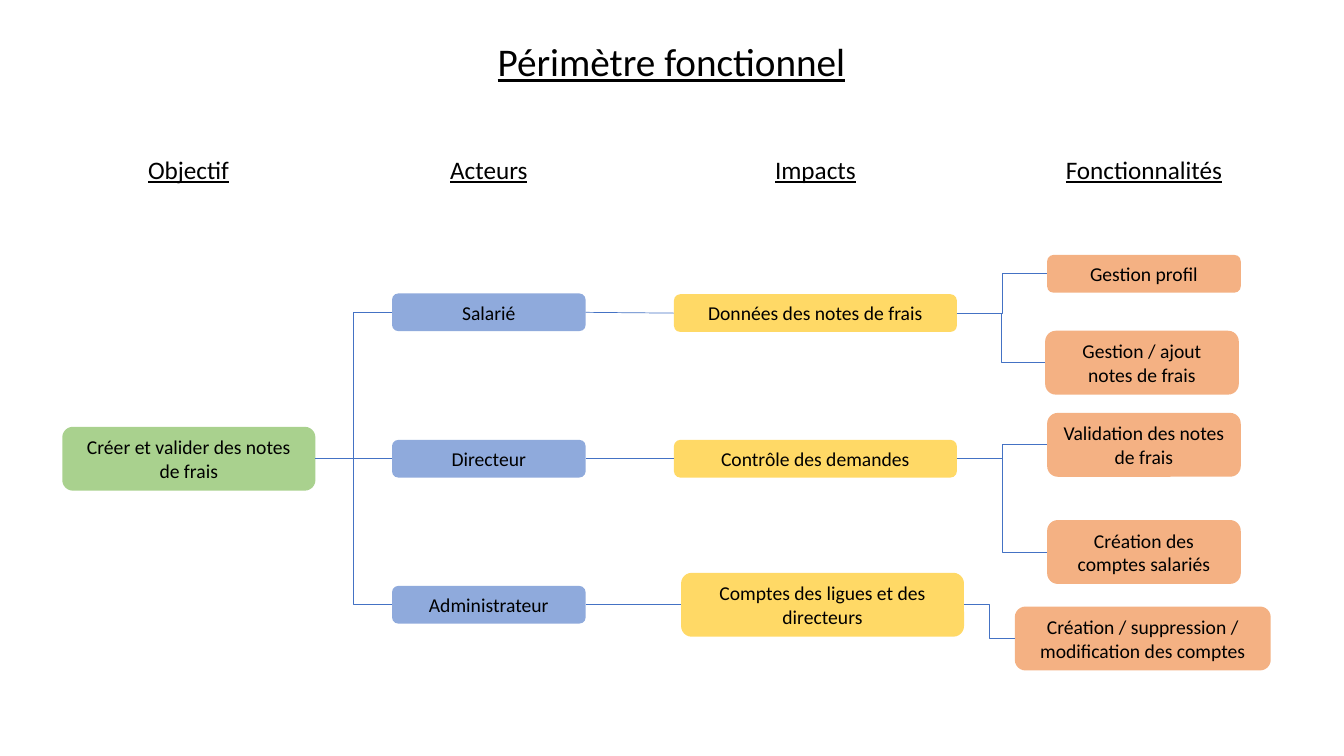
from lxml.etree import SubElement
from pptx import Presentation
from pptx.dml.color import RGBColor
from pptx.enum.shapes import MSO_CONNECTOR, MSO_SHAPE
from pptx.enum.text import MSO_ANCHOR, MSO_AUTO_SIZE, PP_ALIGN
from pptx.oxml.ns import qn
from pptx.util import Cm, Pt


def color(value):
    return RGBColor.from_string(value)


def write(shape, text, size, underline=False):
    frame = shape.text_frame
    frame.text = text
    frame.word_wrap = True
    frame.auto_size = MSO_AUTO_SIZE.NONE
    frame.vertical_anchor = MSO_ANCHOR.MIDDLE
    paragraph = frame.paragraphs[0]
    paragraph.alignment = PP_ALIGN.CENTER
    font = paragraph.runs[0].font
    font.name = "Calibri"
    font.size = Pt(size)
    font.underline = underline
    font.color.rgb = color("000000")


presentation = Presentation()
presentation.slide_width = Cm(33.87)
presentation.slide_height = Cm(19.05)
slide = presentation.slides.add_slide(presentation.slide_layouts[5])

title = slide.shapes.title
title.left, title.top, title.width, title.height = Cm(11.99), Cm(0.81), Cm(9.86), Cm(1.45)
write(title, "Périmètre fonctionnel", 28, True)

headings = [("Objectif", 4.75), ("Acteurs", 12.32), ("Impacts", 20.55), ("Fonctionnalités", 28.83)]
heading_width = 5.18
for text, center in headings:
    heading = slide.shapes.add_textbox(Cm(center - heading_width / 2), Cm(3.76), Cm(heading_width), Cm(1.02))
    write(heading, text, 18, True)

one_line, two_lines = 0.95, 1.61
green, blue, yellow, orange = "A9D18E", "8FAADC", "FFD966", "F4B183"
nodes = [
    ("Créer et valider des notes de frais", green, 4.76, 11.56, 6.38, two_lines),
    ("Salarié", blue, 12.32, 7.87, 4.88, one_line),
    ("Directeur", blue, 12.32, 11.56, 4.88, one_line),
    ("Administrateur", blue, 12.32, 15.24, 4.88, one_line),
    ("Données des notes de frais", yellow, 20.55, 7.89, 7.13, one_line),
    ("Contrôle des demandes", yellow, 20.55, 11.56, 7.13, one_line),
    ("Comptes des ligues et des directeurs", yellow, 20.73, 15.24, 7.13, two_lines),
    ("Gestion profil", orange, 28.83, 6.9, 4.88, one_line),
    ("Gestion / ajout notes de frais", orange, 28.78, 9.14, 4.88, two_lines),
    ("Validation des notes de frais", orange, 28.83, 11.21, 4.88, two_lines),
    ("Création des comptes salariés", orange, 28.83, 13.91, 4.88, two_lines),
    ("Création / suppression / modification des comptes", orange, 28.8, 16.09, 6.45, two_lines),
]
boxes = {}
for text, fill, center, middle, width, height in nodes:
    box = slide.shapes.add_shape(
        MSO_SHAPE.ROUNDED_RECTANGLE,
        Cm(center - width / 2), Cm(middle - height / 2), Cm(width), Cm(height),
    )
    box.shadow.inherit = False
    box.fill.solid()
    box.fill.fore_color.rgb = color(fill)
    box.line.fill.background()
    write(box, text, 14)
    boxes[text] = box

straight, elbow = MSO_CONNECTOR.STRAIGHT, MSO_CONNECTOR.ELBOW
links = [
    ("Créer et valider des notes de frais", "Salarié", elbow),
    ("Créer et valider des notes de frais", "Directeur", straight),
    ("Créer et valider des notes de frais", "Administrateur", elbow),
    ("Salarié", "Données des notes de frais", straight),
    ("Directeur", "Contrôle des demandes", straight),
    ("Administrateur", "Comptes des ligues et des directeurs", straight),
    ("Données des notes de frais", "Gestion profil", elbow),
    ("Données des notes de frais", "Gestion / ajout notes de frais", elbow),
    ("Contrôle des demandes", "Validation des notes de frais", elbow),
    ("Contrôle des demandes", "Création des comptes salariés", elbow),
    ("Comptes des ligues et des directeurs", "Création / suppression / modification des comptes", elbow),
]
for source, target, kind in links:
    connector = slide.shapes.add_connector(kind, 0, 0, 0, 0)
    connector.begin_connect(boxes[source], 3)
    connector.end_connect(boxes[target], 1)
    connector.line.color.rgb = color("4472C4")
    connector.line.width = Pt(0.5)
    SubElement(connector.element.spPr, qn("a:effectLst"))

presentation.save("out.pptx")
